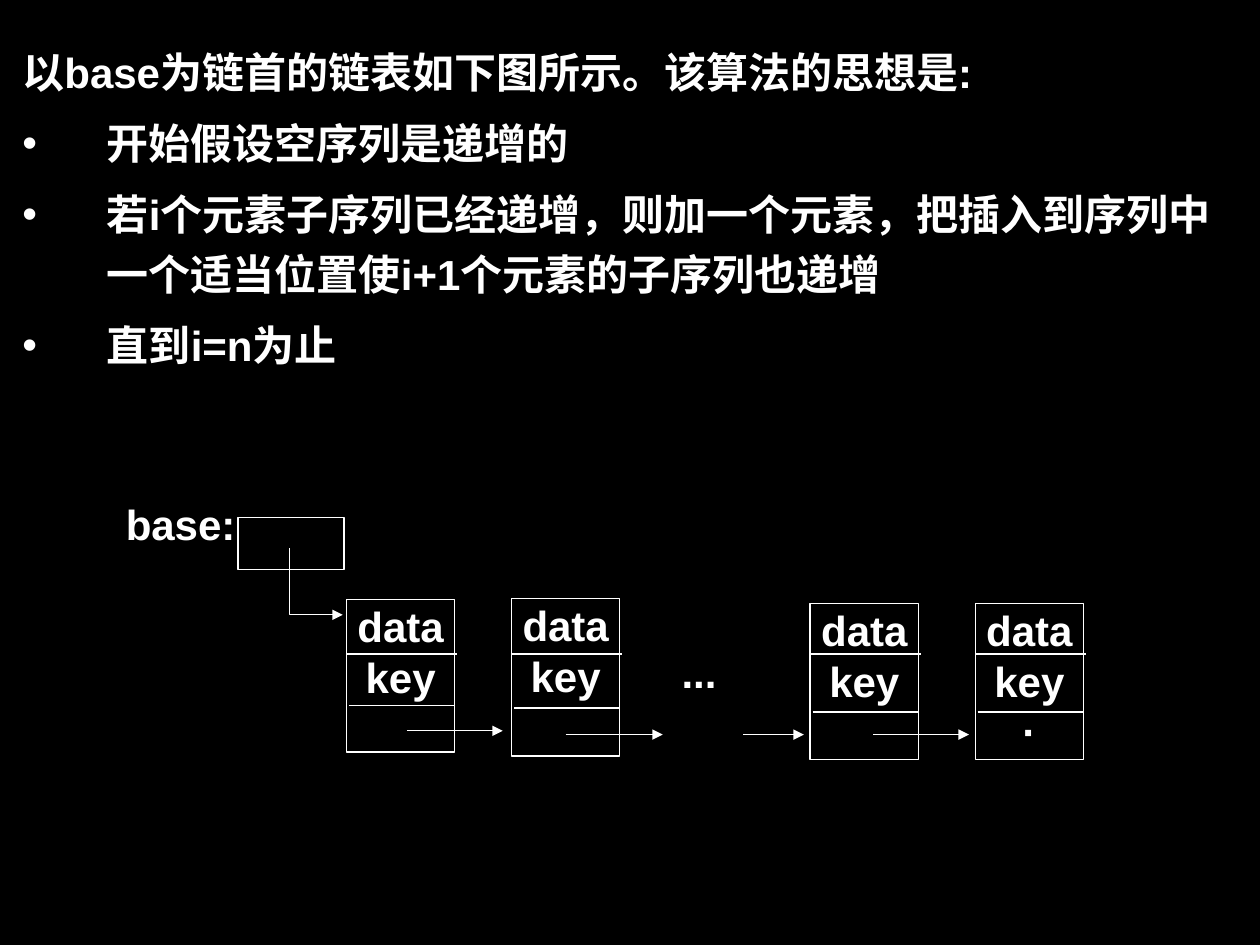
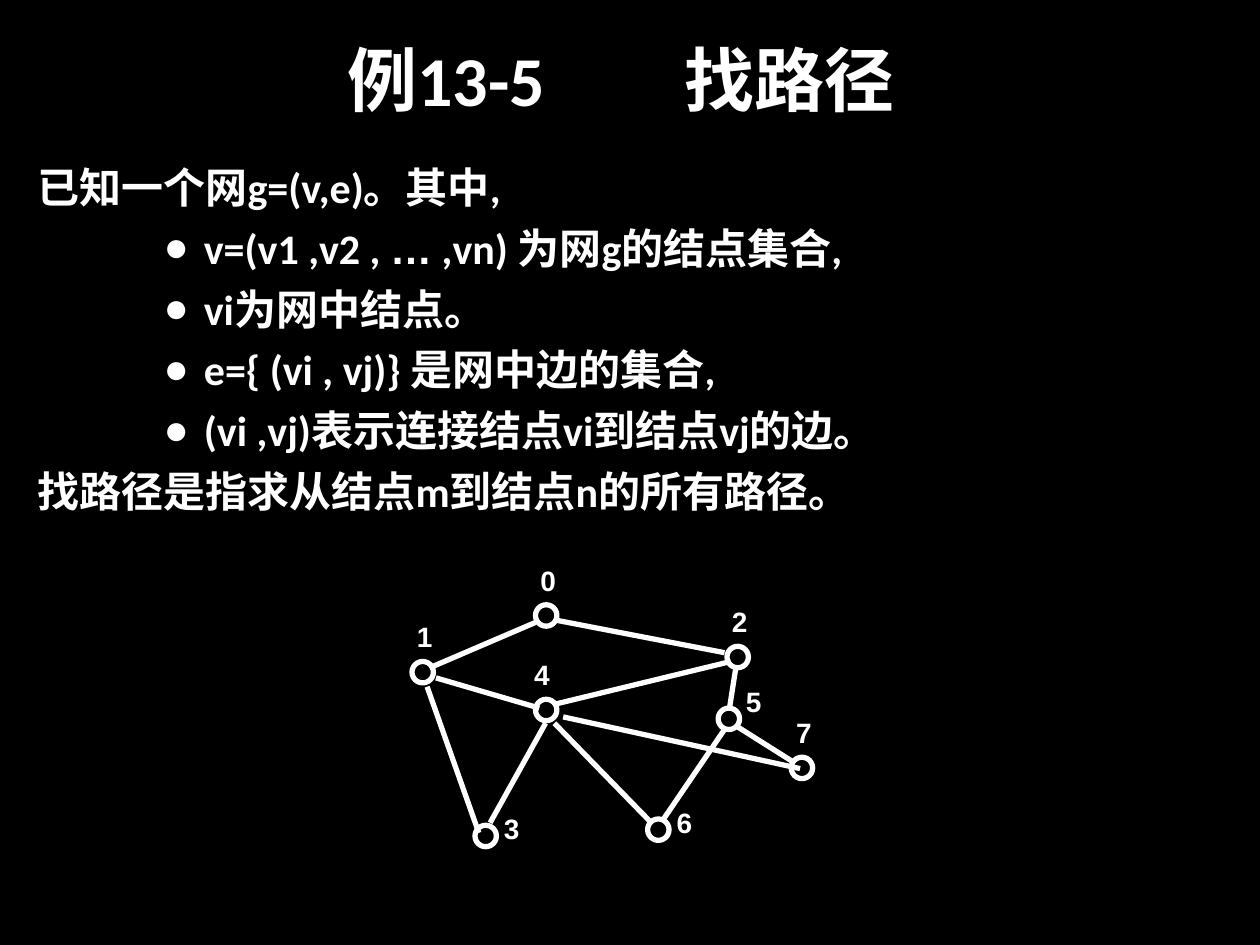
from dataclasses import dataclass
from typing import NamedTuple

from lxml.etree import SubElement
from pptx import Presentation
from pptx.dml.color import RGBColor
from pptx.enum.shapes import MSO_CONNECTOR, MSO_SHAPE
from pptx.enum.text import MSO_ANCHOR, PP_ALIGN
from pptx.oxml.ns import qn
from pptx.util import Inches, Pt

BLACK = RGBColor(0x00, 0x00, 0x00)
WHITE = RGBColor(0xFF, 0xFF, 0xFF)
ARIAL = "Arial"
CALIBRI = "Calibri"
TIGHT = (0.01, 0.01)
ROOMY = (0.1, 0.05)


class Run(NamedTuple):
    text: str
    font: str | None = None


class Box(NamedTuple):
    left: float
    top: float
    width: float
    height: float


class Segment(NamedTuple):
    start: tuple[float, float]
    end: tuple[float, float]


@dataclass(frozen=True)
class Line:
    runs: tuple[Run, ...]
    margin: float = 0
    indent: float = 0
    bullet: str = ""


@dataclass(frozen=True)
class ListNode:
    left: float
    top: float
    height: float
    pointer_top: float
    fields: tuple[str, ...] = ("data", "key")


@dataclass(frozen=True)
class Vertex:
    name: str
    left: float
    top: float
    label_offset: tuple[float, float]


# Shared drawing functions
def add_black_slide(presentation):
    slide = presentation.slides.add_slide(presentation.slide_layouts[6])
    slide.background.fill.solid()
    slide.background.fill.fore_color.rgb = BLACK
    return slide


def plain(text: str, **layout) -> Line:
    return Line((Run(text),), **layout)


def set_layout(paragraph, line: Line) -> None:
    properties = paragraph._p.get_or_add_pPr()
    properties.set("marL", str(Inches(line.margin)))
    properties.set("indent", str(Inches(line.indent)))
    if line.bullet:
        colour = SubElement(properties, qn("a:buClr"))
        SubElement(colour, qn("a:srgbClr"), val=str(WHITE))
        SubElement(properties, qn("a:buFont"), typeface=ARIAL)
        SubElement(properties, qn("a:buChar"), char=line.bullet)


def write_text(frame, lines: list[Line], *, size: float = 24, font: str = ARIAL,
               align=PP_ALIGN.LEFT, anchor=MSO_ANCHOR.TOP, inset=ROOMY,
               space_before: float = 0, line_spacing: float = 1) -> None:
    frame.word_wrap = True
    frame.vertical_anchor = anchor
    frame.margin_left = frame.margin_right = Inches(inset[0])
    frame.margin_top = frame.margin_bottom = Inches(inset[1])
    for index, line in enumerate(lines):
        paragraph = frame.add_paragraph() if index else frame.paragraphs[0]
        set_layout(paragraph, line)
        paragraph.alignment = align
        paragraph.line_spacing = line_spacing
        paragraph.space_before = Pt(space_before if index else 0)
        for part in line.runs:
            run = paragraph.add_run()
            run.text = part.text
            run.font.name = part.font or font
            run.font.size = Pt(size)
            run.font.bold = True
            run.font.color.rgb = WHITE


def add_text(slide, box: Box, lines: list[Line], **text_format) -> None:
    shape = slide.shapes.add_textbox(*map(Inches, box))
    write_text(shape.text_frame, lines, **text_format)


def set_outline(shape, width: float, arrow: bool = False) -> None:
    shape.line.color.rgb = WHITE
    shape.line.width = Pt(width)
    if arrow:
        SubElement(shape.line._get_or_add_ln(), qn("a:tailEnd"), type="triangle")


def add_outline_shape(slide, kind, box: Box, width: float):
    shape = slide.shapes.add_shape(kind, *map(Inches, box))
    shape.shadow.inherit = False
    shape.fill.background()
    set_outline(shape, width)
    return shape


def add_line(slide, segment: Segment, width: float, arrow: bool = False) -> None:
    connector = slide.shapes.add_connector(
        MSO_CONNECTOR.STRAIGHT, *map(Inches, segment.start + segment.end))
    set_outline(connector, width, arrow)
    SubElement(connector._element.spPr, qn("a:effectLst"))


def level_line(left: float, right: float, top: float) -> Segment:
    return Segment((left, top), (right, top))


# Slide 1: insertion into a linked list
THIN = 0.75
NODE_WIDTH = 0.86
KEY_TOP = 5.19
HANGING = {"margin": 0.67, "indent": -0.67}
IDEA_LINES = [
    plain("以base为链首的链表如下图所示。该算法的思想是:", **HANGING),
    *(plain(text, bullet="•", **HANGING) for text in (
        "开始假设空序列是递增的",
        "若i个元素子序列已经递增，则加一个元素，把插入到序列中一个适当位置使i+1个元素的子序列也递增",
        "直到i=n为止",
    )),
]
LIST_NODES = [
    ListNode(2.75, 4.76, 1.21, 5.6),
    ListNode(4.06, 4.75, 1.25, 5.62),
    ListNode(6.43, 4.79, 1.24, 5.65),
    ListNode(7.74, 4.79, 1.24, 5.65, ("data", "key", "·")),
]
NEXT_POINTERS = [
    level_line(3.23, 3.99, 5.8),
    level_line(4.49, 5.26, 5.83),
    level_line(5.9, 6.38, 5.83),
    level_line(6.93, 7.69, 5.83),
]


def add_list_node(slide, node: ListNode) -> None:
    box = Box(node.left, node.top, NODE_WIDTH, node.height)
    shape = add_outline_shape(slide, MSO_SHAPE.RECTANGLE, box, THIN)
    write_text(shape.text_frame, [plain(field) for field in node.fields],
               align=PP_ALIGN.CENTER, inset=TIGHT)
    right = node.left + NODE_WIDTH
    add_line(slide, level_line(node.left, right + 0.02, KEY_TOP), THIN)
    add_line(slide, level_line(node.left + 0.02, right, node.pointer_top), 1)


def add_base_pointer(slide) -> None:
    add_outline_shape(slide, MSO_SHAPE.RECTANGLE, Box(1.89, 4.11, 0.84, 0.41), THIN)
    builder = slide.shapes.build_freeform(Inches(2.3), Inches(4.35))
    corner, tip = (Inches(2.3), Inches(4.88)), (Inches(2.72), Inches(4.88))
    builder.add_line_segments([corner, tip], close=False)
    pointer = builder.convert_to_shape()
    pointer.shadow.inherit = False
    pointer.fill.background()
    set_outline(pointer, THIN, arrow=True)
    add_text(slide, Box(0.9, 3.91, 1.33, 0.75), [plain("base:")])


def build_list_slide(presentation) -> None:
    slide = add_black_slide(presentation)
    add_text(slide, Box(0.08, 0.24, 9.8, 3.2), IDEA_LINES,
             space_before=6, line_spacing=1.2)
    add_base_pointer(slide)
    for node in LIST_NODES:
        add_list_node(slide, node)
    add_text(slide, Box(5.4, 5.12, 0.53, 0.53), [plain("...")], inset=TIGHT)
    for pointer in NEXT_POINTERS:
        add_line(slide, pointer, THIN, arrow=True)


# Slide 2: finding paths in a graph
THICK = 3
VERTEX_SIZE = 0.17
ABOVE = (0.03, -0.34)
BESIDE = (0.22, -0.12)
OUTER = {"margin": 0.38, "indent": -0.38}
INNER = {"margin": 1.32, "indent": -0.32, "bullet": "●"}
PATH_LINES = [
    plain("已知一个网g=(v,e)。其中,", **OUTER),
    Line((Run("v=(v1 ,v2 , "), Run("…", ARIAL), Run(" ,vn) 为网g的结点集合,")), **INNER),
    plain("vi为网中结点。", **INNER),
    plain("e={ (vi , vj)} 是网中边的集合,", **INNER),
    plain("(vi ,vj)表示连接结点vi到结点vj的边。", **INNER),
    plain("找路径是指求从结点m到结点n的所有路径。", **OUTER),
]
VERTICES = [
    Vertex("0", 4.25, 4.8, ABOVE),
    Vertex("1", 3.27, 5.25, ABOVE),
    Vertex("2", 5.77, 5.13, ABOVE),
    Vertex("3", 3.77, 6.55, BESIDE),
    Vertex("4", 4.25, 5.55, (-0.02, -0.34)),
    Vertex("5", 5.7, 5.62, (0.21, -0.2)),
    Vertex("6", 5.14, 6.5, BESIDE),
    Vertex("7", 6.28, 6.01, ABOVE),
]
EDGES = [
    Segment((4.25, 4.94), (3.41, 5.3)),   # 0-1
    Segment((4.4, 4.92), (5.75, 5.18)),   # 0-2
    Segment((3.46, 5.38), (4.28, 5.62)),  # 1-4
    Segment((3.39, 5.45), (3.8, 6.61)),   # 1-3
    Segment((3.89, 6.53), (4.33, 5.74)),  # 3-4
    Segment((4.4, 5.59), (5.8, 5.25)),    # 4-2
    Segment((4.47, 5.69), (6.35, 6.1)),   # 4-7
    Segment((4.4, 5.74), (5.17, 6.53)),   # 4-6
    Segment((5.75, 5.79), (5.26, 6.51)),  # 5-6
    Segment((5.84, 5.3), (5.79, 5.62)),   # 2-5
    Segment((5.84, 5.76), (6.3, 6.05)),   # 5-7
]


def add_vertex(slide, vertex: Vertex) -> None:
    circle = Box(vertex.left, vertex.top, VERTEX_SIZE, VERTEX_SIZE)
    add_outline_shape(slide, MSO_SHAPE.OVAL, circle, THICK)
    across, down = vertex.label_offset
    label = Box(vertex.left + across, vertex.top + down, 0.43, 0.39)
    add_text(slide, label, [plain(vertex.name)], size=16, inset=TIGHT)


def build_graph_slide(presentation) -> None:
    slide = add_black_slide(presentation)
    add_text(slide, Box(0.43, 0, 9, 1.25), [plain("例13-5　　找路径")], size=40,
             font=CALIBRI, align=PP_ALIGN.CENTER, anchor=MSO_ANCHOR.MIDDLE)
    add_text(slide, Box(0.2, 1.23, 9, 2.91), PATH_LINES,
             font=CALIBRI, space_before=6)
    for vertex in VERTICES:
        add_vertex(slide, vertex)
    for edge in EDGES:
        add_line(slide, edge, THICK)


def main() -> None:
    presentation = Presentation()
    presentation.slide_width = Inches(10)
    presentation.slide_height = Inches(7.5)
    build_list_slide(presentation)
    build_graph_slide(presentation)
    presentation.save("out.pptx")


if __name__ == "__main__":
    main()
